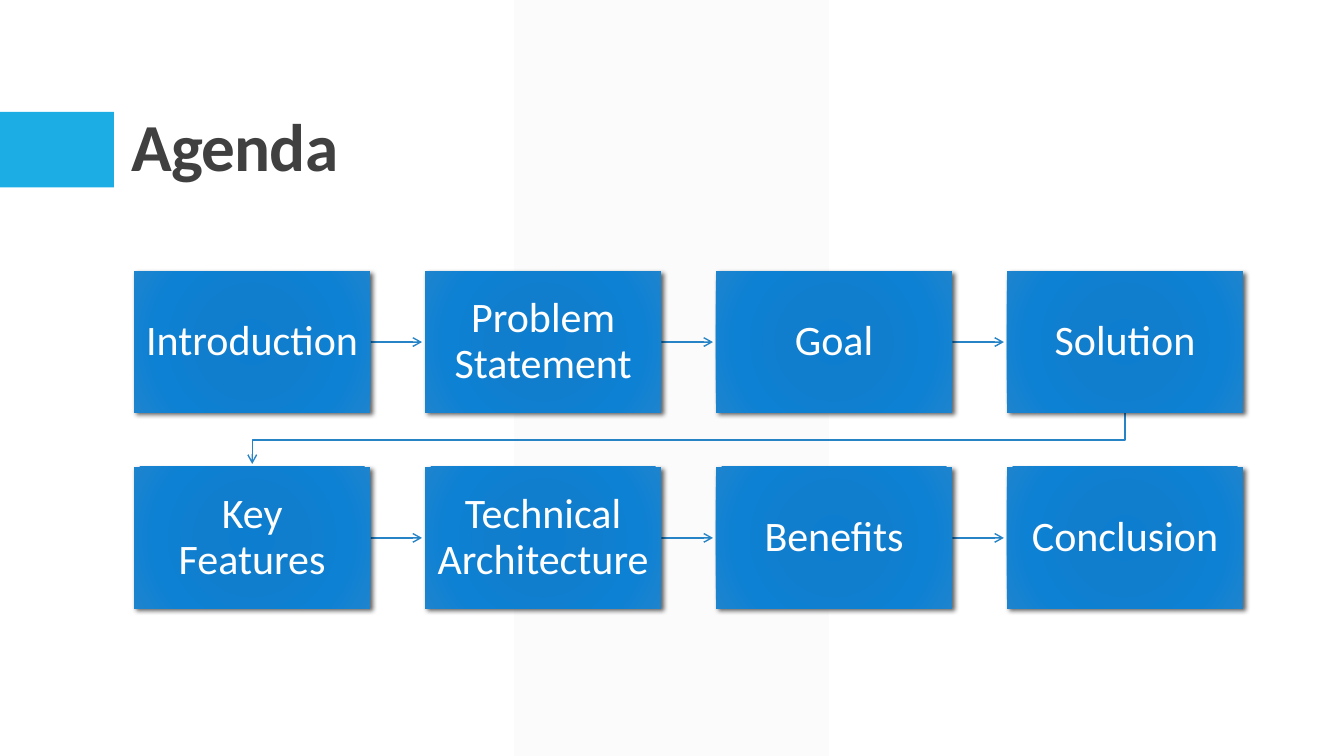
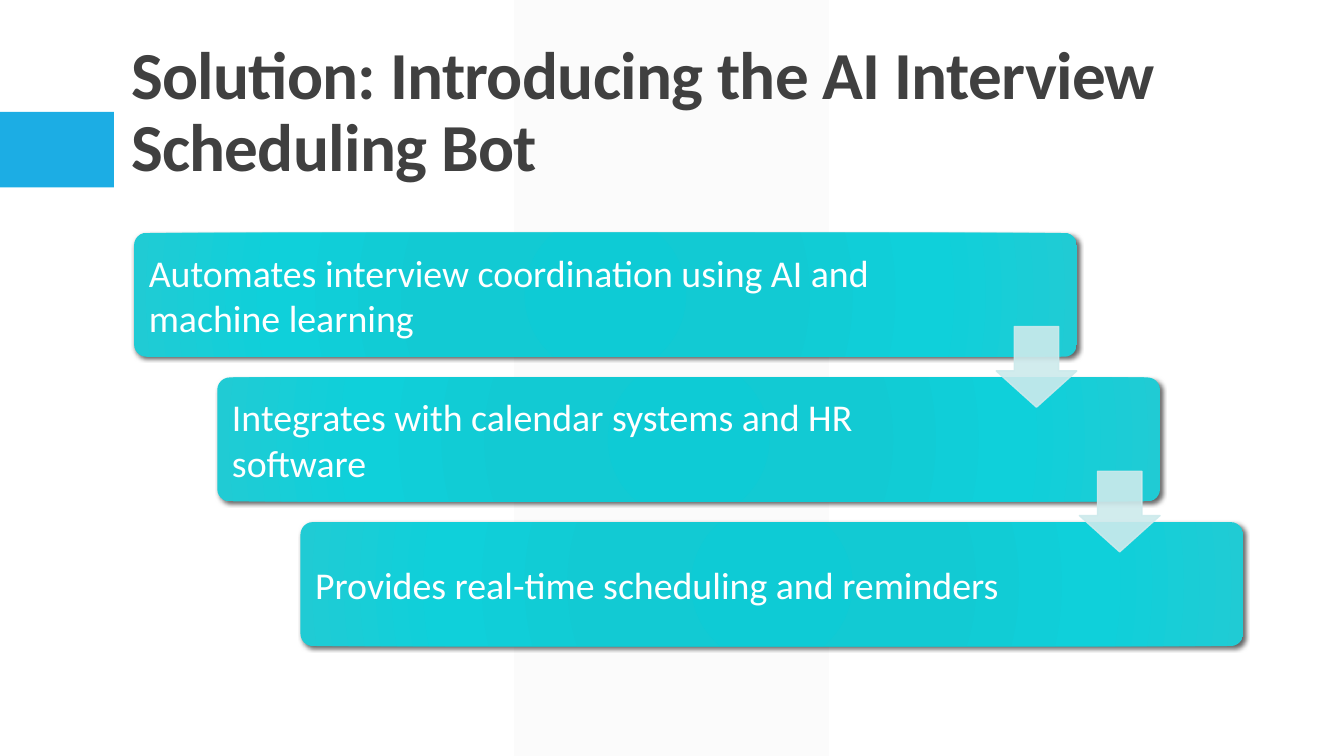
from dataclasses import dataclass
from itertools import pairwise

from lxml.etree import SubElement
from pptx import Presentation
from pptx.dml.color import RGBColor
from pptx.enum.shapes import MSO_CONNECTOR, MSO_SHAPE
from pptx.enum.text import MSO_ANCHOR, MSO_AUTO_SIZE, PP_ALIGN
from pptx.oxml.ns import qn
from pptx.util import Inches, Pt

SLIDE_WIDTH, SLIDE_HEIGHT = 13.33, 7.5
FONT = "Calibri"
WHITE, TITLE_GREY, BAND_GREY, ACCENT = "FFFFFF", "404040", "F2F2F2", "1CADE4"
FLOW_LINE, STEP_ARROW, SHADOW = "2683C6", "CDEAEC", "000000"
GRADIENT_STOPS = (0, 34, 70, 100)
BLUE_GRADIENT = ("0D7ECF", "117ECD", "0D81D4", "1E84CE")
TEAL_GRADIENT = ("0ECBD5", "12CAD3", "0FD0DA", "20CBD4")
ARROW_CLEARANCE = 0.03


@dataclass(frozen=True)
class Box:
    left: float
    top: float
    width: float
    height: float

    @property
    def right(self):
        return self.left + self.width

    @property
    def bottom(self):
        return self.top + self.height

    @property
    def center(self):
        return self.left + self.width / 2

    @property
    def middle(self):
        return self.top + self.height / 2

    def inches(self):
        return [Inches(n) for n in (self.left, self.top, self.width, self.height)]


TITLE_BOX = Box(1.2, 0.31, 11, 1.59)
AGENDA_BOX = Box(1.33, 2.69, 11, 3.35)
STAIRCASE_BOX = Box(1.33, 2.31, 11, 4.1)


# Formatting helpers
def rgb(color):
    return RGBColor.from_string(color)


def set_values(target, values):
    for name, value in values.items():
        setattr(target, name, value)


def add_node(parent, tag, **attributes):
    return SubElement(parent, qn(tag), {k: str(v) for k, v in attributes.items()})


def paint(fill, color, opacity=100):
    fill.solid()
    fill.fore_color.rgb = rgb(color)
    if opacity < 100:
        node = fill._xPr.find(qn("a:solidFill"))[0]
        add_node(node, "a:alpha", val=opacity * 1000)


def write_text(shape, text, size, color=WHITE, bold=False,
               align=PP_ALIGN.LEFT, spacing=1.0, **frame_values):
    frame = shape.text_frame
    frame.text = text
    set_values(frame, {"word_wrap": True, "auto_size": MSO_AUTO_SIZE.NONE} | frame_values)
    paragraph = frame.paragraphs[0]
    set_values(paragraph, {"alignment": align, "line_spacing": spacing})
    run = paragraph.runs[0]
    set_values(run.font, {"name": FONT, "size": Pt(size), "bold": bold})
    run.font.color.rgb = rgb(color)
    return run


def add_plain_shape(slide, kind, box, adjustments=()):
    shape = slide.shapes.add_shape(kind, *box.inches())
    shape.shadow.inherit = False
    shape.line.fill.background()
    for index, value in enumerate(adjustments):
        shape.adjustments[index] = value
    return shape


def add_card(slide, kind, box, colors, blur, adjustments=()):
    """Shape with a radial gradient and a soft shadow."""
    shape = add_plain_shape(slide, kind, box, adjustments)
    shape.fill.solid()
    properties = shape.element.spPr
    solid = properties.find(qn("a:solidFill"))
    gradient = add_node(properties, "a:gradFill", rotWithShape=1)
    properties.replace(solid, gradient)
    stops = add_node(gradient, "a:gsLst")
    for position, color in zip(GRADIENT_STOPS, colors):
        stop = add_node(stops, "a:gs", pos=position * 1000)
        add_node(stop, "a:srgbClr", val=color)
    circle = add_node(gradient, "a:path", path="circle")
    add_node(circle, "a:fillToRect", **dict.fromkeys("ltrb", 100000))
    shadow = add_node(properties.find(qn("a:effectLst")), "a:outerShdw",
                      blurRad=Pt(blur), dist=Pt(2), dir=45 * 60000, rotWithShape=0)
    add_node(add_node(shadow, "a:srgbClr", val=SHADOW), "a:alpha", val=60000)
    return shape


def style_arrow(line):
    paint(line.fill, FLOW_LINE)
    line.width = Pt(1)
    add_node(line._get_or_add_ln(), "a:tailEnd", type="arrow")


# Parts shared by all slides
def decorate_layout(layout, slide):
    """Draw the band and the title tab, and keep them on the layout."""
    band = add_plain_shape(slide, MSO_SHAPE.PARALLELOGRAM,
                           Box(5.1, 0, 3.12, SLIDE_HEIGHT), [0])
    paint(band.fill, BAND_GREY, 30)
    tab = add_plain_shape(slide, MSO_SHAPE.RECTANGLE, Box(0, 1.11, 1.13, 0.75))
    paint(tab.fill, ACCENT)
    for shape in (band, tab):
        layout.shapes.element.append(shape.element)


def set_title(slide, text):
    title = slide.shapes.title
    set_values(title, dict(zip(("left", "top", "width", "height"), TITLE_BOX.inches())))
    run = write_text(title, text, 48, TITLE_GREY, bold=True, spacing=0.9,
                     vertical_anchor=MSO_ANCHOR.BOTTOM)
    run.font._element.set("spc", "-50")


# Agenda: rows of boxes joined by arrows
def add_straight_arrow(slide, start, end):
    connector = slide.shapes.add_connector(
        MSO_CONNECTOR.STRAIGHT, Inches(start.right), Inches(start.middle),
        Inches(end.left - ARROW_CLEARANCE), Inches(end.middle))
    style_arrow(connector.line)
    add_node(connector.element.spPr, "a:effectLst")


def add_return_arrow(slide, start, end):
    turn = (start.bottom + end.top) / 2
    points = [(Inches(x), Inches(y)) for x, y in (
        (start.center, start.bottom), (start.center, turn),
        (end.center, turn), (end.center, end.top - ARROW_CLEARANCE))]
    builder = slide.shapes.build_freeform(*points[0])
    builder.add_line_segments(points[1:], close=False)
    arrow = builder.convert_to_shape()
    arrow.shadow.inherit = False
    arrow.fill.background()
    style_arrow(arrow.line)


def add_flow(slide, region, topics, columns=4):
    rows = -(-len(topics) // columns)
    width, height = region.width * 0.213, region.height * 0.42
    column_step = (region.width - width) / (columns - 1)
    row_step = (region.height - height) / (rows - 1)
    boxes = [Box(region.left + index % columns * column_step,
                 region.top + index // columns * row_step, width, height)
             for index in range(len(topics))]
    for start, end in pairwise(boxes):
        connect = add_straight_arrow if start.top == end.top else add_return_arrow
        connect(slide, start, end)
    for box, topic in zip(boxes, topics):
        card = add_card(slide, MSO_SHAPE.RECTANGLE, box, BLUE_GRADIENT, 3.5)
        write_text(card, topic, 30, align=PP_ALIGN.CENTER, spacing=0.9,
                   vertical_anchor=MSO_ANCHOR.MIDDLE,
                   margin_left=Inches(0.11), margin_right=Inches(0.11))


# Solution: steps shifted to the right, with arrows between them
def add_staircase(slide, region, steps):
    width, height = region.width * 0.85, region.height * 0.3
    shift = (region.width - width) / (len(steps) - 1)
    drop = (region.height - height) / (len(steps) - 1)
    boxes = [Box(region.left + index * shift, region.top + index * drop, width, height)
             for index in range(len(steps))]
    for index, (box, text) in enumerate(zip(boxes, steps)):
        card = add_card(slide, MSO_SHAPE.ROUNDED_RECTANGLE, box, TEAL_GRADIENT, 3, [0.1])
        write_text(card, text, 27, vertical_anchor=MSO_ANCHOR.MIDDLE,
                   margin_left=Inches(0.11),
                   margin_right=Inches(1.74 if index else 1.36))
    size = height * 0.65
    for box in boxes[:-1]:
        arrow = add_plain_shape(slide, MSO_SHAPE.DOWN_ARROW,
                                Box(box.right - size, box.bottom - 0.3, size, size),
                                [0.45, 0.55])
        # The preset lists the shaft width first, then the head length
        arrow.adjustments[0], arrow.adjustments[1] = 0.55, 0.45
        for fill in (arrow.fill, arrow.line.fill):
            paint(fill, STEP_ARROW, 90)
        arrow.line.width = Pt(1)


SLIDES = [
    ("Agenda", add_flow, AGENDA_BOX,
     ["Introduction", "Problem Statement", "Goal", "Solution",
      "Key Features", "Technical Architecture", "Benefits", "Conclusion"]),
    ("Solution: Introducing the AI Interview Scheduling Bot", add_staircase, STAIRCASE_BOX,
     ["Automates interview coordination using AI and machine learning",
      "Integrates with calendar systems and HR software",
      "Provides real-time scheduling and reminders"]),
]


def main():
    presentation = Presentation()
    set_values(presentation, {"slide_width": Inches(SLIDE_WIDTH),
                              "slide_height": Inches(SLIDE_HEIGHT)})
    layout = presentation.slide_layouts.get_by_name("Title Only")
    for index, (title, add_content, region, items) in enumerate(SLIDES):
        slide = presentation.slides.add_slide(layout)
        if index == 0:
            decorate_layout(layout, slide)
        set_title(slide, title)
        add_content(slide, region, items)
    presentation.save("out.pptx")


if __name__ == "__main__":
    main()
